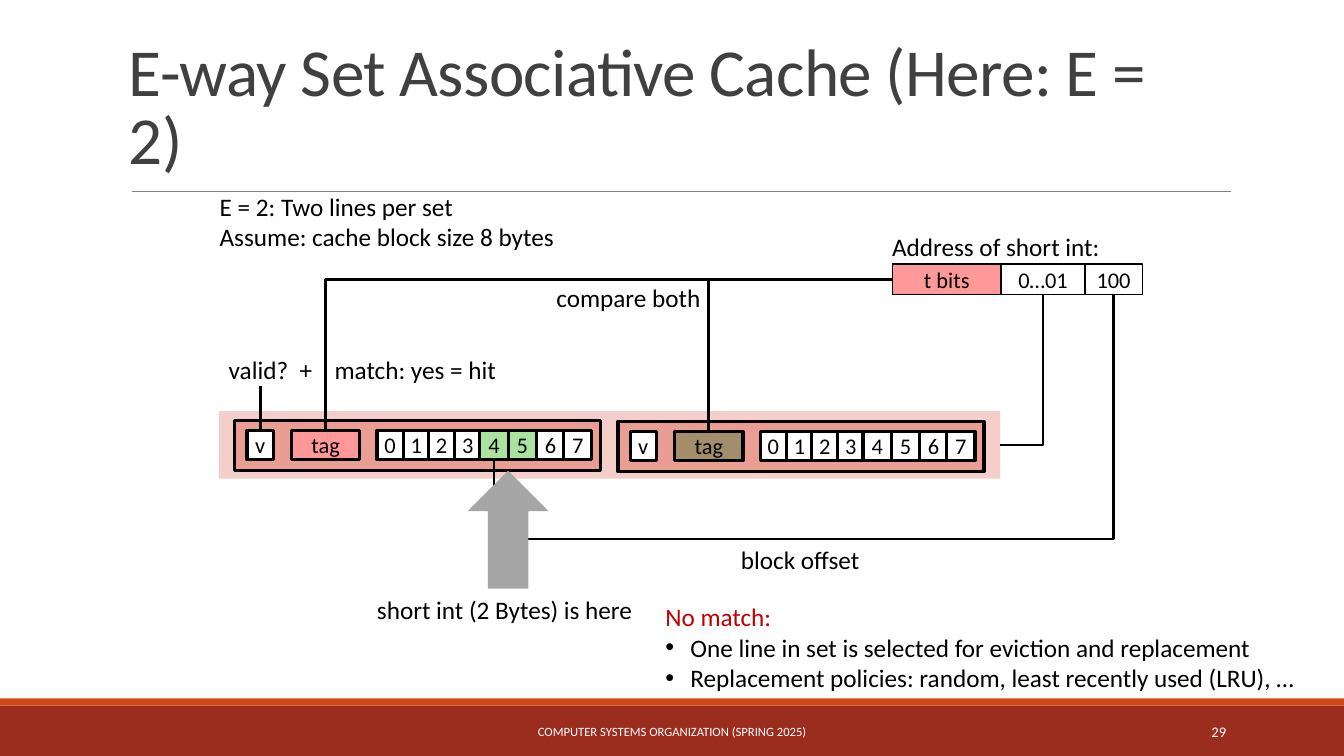
from dataclasses import dataclass

from lxml import etree
from pptx import Presentation
from pptx import util as u
from pptx.dml.color import RGBColor
from pptx.enum import shapes, text
from pptx.oxml.ns import qn

LEFT, CENTER, RIGHT = text.PP_ALIGN.LEFT, text.PP_ALIGN.CENTER, text.PP_ALIGN.RIGHT
MIDDLE, BOTTOM = text.MSO_ANCHOR.MIDDLE, text.MSO_ANCHOR.BOTTOM


@dataclass(frozen=True)
class Theme:
    font: str = "Calibri"
    ink: str = "000000"
    title_ink: str = "404040"
    white: str = "FFFFFF"
    rule: str = "808080"
    footer: str = "9B2D1F"
    footer_edge: str = "D34817"
    set_fill: str = "F4CEC9"
    line_fill: str = "E99D93"
    tag_match: str = "FF9999"
    tag_other: str = "A28E6A"
    byte_hit: str = "A9E39D"
    arrow: str = "A6A6A6"
    warning: str = "C00000"
    title_size: float = 48
    body_size: float = 18
    cell_size: float = 16
    page_size: float = 10.5
    footer_size: float = 9
    wire: float = 2
    cell_border: float = 2.25


class CacheSlide:
    def __init__(self, slide, theme):
        self.slide = slide
        self.theme = theme

    def run(self, paragraph, words, size, color):
        run = paragraph.add_run()
        run.text = words
        run.font.name = self.theme.font
        run.font.size = u.Pt(size)
        run.font.color.rgb = RGBColor.from_string(color)
        return run

    def block(self, box, fill, border=0, words="", kind=shapes.MSO_SHAPE.RECTANGLE):
        shape = self.slide.shapes.add_shape(kind, *map(u.Inches, box))
        shape.shadow.inherit = False
        shape.fill.solid()
        shape.fill.fore_color.rgb = RGBColor.from_string(fill)
        if border:
            shape.line.color.rgb = RGBColor.from_string(self.theme.ink)
            shape.line.width = u.Pt(border)
        else:
            shape.line.fill.background()
        if words:
            frame = shape.text_frame
            frame.word_wrap = False
            frame.vertical_anchor = MIDDLE
            frame.paragraphs[0].alignment = CENTER
            self.run(frame.paragraphs[0], words, self.theme.cell_size, self.theme.ink)
        return shape

    def text_area(self, box, words, size, color, align=LEFT, anchor=MIDDLE):
        area = self.slide.shapes.add_textbox(*map(u.Inches, box))
        area.text_frame.word_wrap = True
        area.text_frame.vertical_anchor = anchor
        paragraph = area.text_frame.paragraphs[0]
        paragraph.alignment = align
        return paragraph, self.run(paragraph, words, size, color)

    def title(self, box, words):
        paragraph, run = self.text_area(
            box, words, self.theme.title_size, self.theme.title_ink, anchor=BOTTOM)
        paragraph.line_spacing = 0.85
        run.font._element.set("spc", "-50")

    def label(self, box, *lines, lead_color=None, bullets=()):
        frame = self.slide.shapes.add_textbox(*map(u.Inches, box)).text_frame
        frame.word_wrap = False
        frame.auto_size = text.MSO_AUTO_SIZE.SHAPE_TO_FIT_TEXT
        for index, words in enumerate(lines + tuple(bullets)):
            paragraph = frame.add_paragraph() if index else frame.paragraphs[0]
            color = self.theme.ink if index else lead_color or self.theme.ink
            self.run(paragraph, words, self.theme.body_size, color)
            if index >= len(lines):
                props = paragraph._p.get_or_add_pPr()
                props.set("marL", str(u.Inches(0.25)))
                props.set("indent", str(-u.Inches(0.25)))
                etree.SubElement(props, qn("a:buFont")).set("typeface", "Arial")
                etree.SubElement(props, qn("a:buChar")).set("char", "•")

    def line(self, start, end, color, width, kind=shapes.MSO_CONNECTOR.STRAIGHT):
        line = self.slide.shapes.add_connector(kind, *map(u.Inches, start + end))
        line.line.color.rgb = RGBColor.from_string(color)
        line.line.width = u.Pt(width)
        etree.SubElement(line._element.spPr, qn("a:effectLst"))
        return line

    def elbow(self, source, source_side, target, target_side, drop=None):
        wire = self.line((0, 0), (1, 1), self.theme.ink, self.theme.wire,
                         shapes.MSO_CONNECTOR.ELBOW)
        wire.begin_connect(source, source_side)
        wire.end_connect(target, target_side)
        geometry = wire._element.spPr.find(qn("a:prstGeom"))
        if source_side == 2:
            left, top, width, height = wire.left, wire.top, wire.width, wire.height
            frame = wire._element.spPr.find(qn("a:xfrm"))
            frame.attrib.clear()
            frame.set("rot", "5400000")
            wire.left = left + (width - height) // 2
            wire.top = top + (height - width) // 2
            wire.width, wire.height = height, width
        if drop is None:
            geometry.set("prst", "bentConnector2")
        else:
            guides = geometry.find(qn("a:avLst"))
            guide = etree.SubElement(guides, qn("a:gd"))
            guide.set("name", "adj1")
            guide.set("fmla", f"val {round(drop * 100000)}")

    def cache_line(self, left, top, tag_fill, hit_bytes=()):
        theme = self.theme
        self.block((left, top, 3.63, 0.5), theme.line_fill, theme.cell_border)

        def cell(offset, width, fill, words):
            return self.block((left + offset, top + 0.1, width, 0.29), fill,
                              theme.cell_border, words)

        valid = cell(0.12, 0.26, theme.white, "v")
        tag = cell(0.56, 0.68, tag_fill, "tag")
        offsets = (1.41, 1.67, 1.92, 2.18, 2.43, 2.71, 2.99, 3.26)
        block = [
            cell(offset, 0.26 if byte < 4 else 0.28,
                 theme.byte_hit if byte in hit_bytes else theme.white, str(byte))
            for byte, offset in enumerate(offsets)
        ]
        return valid, tag, block


def main():
    deck = Presentation()
    deck.slide_width, deck.slide_height = u.Inches(13.33), u.Inches(7.5)
    theme = Theme()
    page = CacheSlide(deck.slides.add_slide(deck.slide_layouts[6]), theme)

    page.block((0, 7, 13.33, 0.5), theme.footer)
    page.block((0, 6.93, 13.33, 0.07), theme.footer_edge)
    page.line((1.31, 1.9), (12.21, 1.9), theme.rule, 0.5)
    page.title((1.18, 0.49, 10.88, 1.33), "E-way Set Associative Cache (Here: E = 2)")
    page.label((2.08, 1.85, 3.61, 0.71),
               "E = 2: Two lines per set", "Assume: cache block size 8 bytes")

    page.label((8.75, 2.25, 2.33, 0.4), "Address of short int:")
    tag_bits, set_index, block_offset = [
        page.block((left, 2.62, width, 0.3), fill, 1, words)
        for left, width, fill, words in (
            (8.85, 1.08, theme.tag_match, "t bits"),
            (9.93, 0.83, theme.white, "0…01"),
            (10.76, 0.57, theme.white, "100"),
        )
    ]

    cache_set = page.block((2.17, 4.08, 7.75, 0.67), theme.set_fill)
    valid, first_tag, first_block = page.cache_line(2.33, 4.17, theme.tag_match, (4, 5))
    _, second_tag, _ = page.cache_line(6.13, 4.18, theme.tag_other)

    page.elbow(set_index, 2, cache_set, 3)
    for tag in (second_tag, first_tag):
        page.elbow(tag_bits, 1, tag, 0)
    valid_check = page.line((2.58, 3.83), (2.58, 4.27), theme.ink, theme.wire)
    valid_check.end_connect(valid, 0)
    page.elbow(block_offset, 2, first_block[4], 2, drop=1.48)

    page.label((5.42, 2.75, 1.67, 0.4), "compare both")
    page.label((2.17, 3.47, 1.12, 0.4), "valid?  +")
    page.label((3.22, 3.47, 1.85, 0.4), "match: yes = hit")
    page.label((7.25, 5.35, 1.42, 0.4), "block offset")
    page.block((4.64, 4.67, 0.8, 1.17), theme.arrow, kind=shapes.MSO_SHAPE.UP_ARROW)
    page.label((3.64, 5.85, 2.81, 0.4), "short int (2 Bytes) is here")
    page.label((6.5, 5.92, 6.52, 1.01), "No match:", lead_color=theme.warning, bullets=(
        "One line in set is selected for eviction and replacement",
        "Replacement policies: random, least recently used (LRU), …",
    ))

    page.text_area((4.03, 7.06, 5.27, 0.4), "COMPUTER SYSTEMS ORGANIZATION (SPRING 2025)",
                   theme.footer_size, theme.white, CENTER)
    page.text_area((10.83, 7.06, 1.43, 0.4), "29", theme.page_size, theme.white, RIGHT)
    deck.save("out.pptx")


if __name__ == "__main__":
    main()
